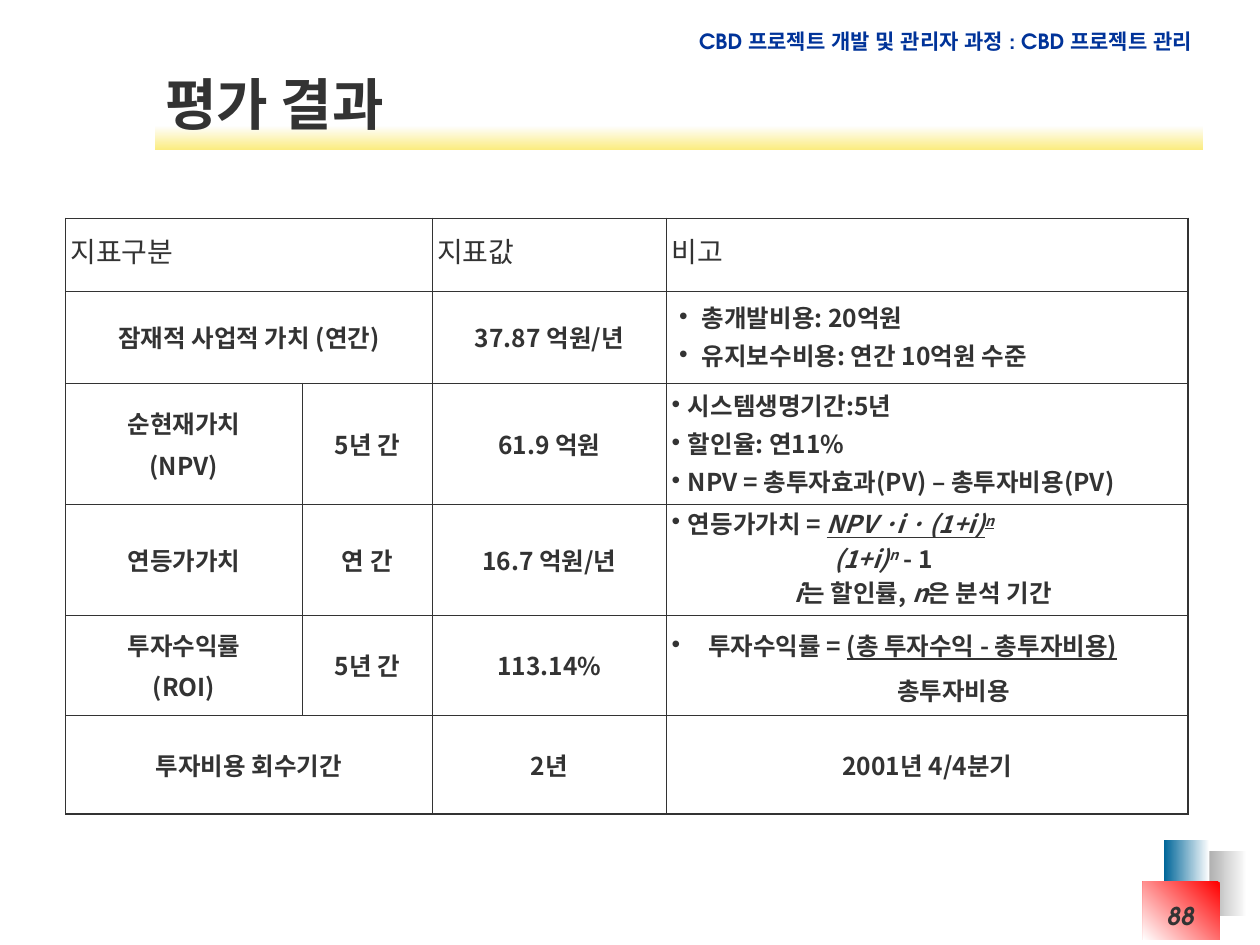
from lxml.etree import SubElement
from pptx import Presentation
from pptx.dml.color import RGBColor
from pptx.enum.shapes import MSO_SHAPE
from pptx.enum.text import MSO_ANCHOR, MSO_AUTO_SIZE, PP_ALIGN
from pptx.oxml import parse_xml
from pptx.oxml.ns import nsdecls, qn
from pptx.util import Inches, Pt

INK = RGBColor(0x33, 0x33, 0x33)
NAVY = RGBColor(0x00, 0x33, 0x99)
WHITE = RGBColor(0xFF, 0xFF, 0xFF)
GREY = RGBColor(0x96, 0x96, 0x96)
TEAL = RGBColor(0x00, 0x66, 0x99)
RED = RGBColor(0xFF, 0x00, 0x00)
OFF_WHITE = RGBColor(0xFE, 0xFE, 0xFE)
YELLOW = RGBColor(0xFB, 0xEC, 0x7F)
BODY_FONT = "Noto Sans CJK KR"
ACCENT_FONT = "TeX Gyre Adventor"
THIN, THICK = 0.34, 1.08

COURSE = "CBD 프로젝트 개발 및 관리자 과정 : CBD 프로젝트 관리"
TITLE = "평가 결과"
PAGE = "88"

# left, top, width, height, start colour, end colour, counter-clockwise angle
DECORATIONS = [
    (9.5, 6.75, 0.4, 0.52, WHITE, GREY, 180),
    (9.24, 6.67, 0.36, 0.52, WHITE, TEAL, 180),
    (9.07, 7, 0.61, 0.46, RED, WHITE, 225),
    (1.23, 1, 8.32, 0.19, OFF_WHITE, YELLOW, 270),
]

COLUMN_WIDTHS = [1.88, 1.03, 1.86, 4.14]
ROW_HEIGHTS = [0.58, 0.73, 0.81, 0.8, 0.8, 0.78]
HEADERS = ["지표구분", None, "지표값", "비고"]
# One list of paragraphs per cell; None continues the cell on its left
INDICATORS = [
    [["잠재적 사업적 가치 (연간)"], None, ["37.87 억원/년"]],
    [["순현재가치", "(NPV)"], ["5년 간"], ["61.9 억원"]],
    [["연등가가치"], ["연 간"], ["16.7 억원/년"]],
    [["투자수익률", "(ROI)"], ["5년 간"], ["113.14%"]],
    [["투자비용 회수기간"], None, ["2년"]],
]
# Line spacing, then paragraphs: bullet position or None, text position, and
# runs of text and marks (i italic, u underlined, s superscript)
REMARKS = [
    (0.9, [(0.06, 0.24, [("총개발비용: 20억원", "")]),
           (0.06, 0.24, [("유지보수비용: 연간 10억원 수준", "")])]),
    (0.9, [(0, 0.13, [("시스템생명기간:5년", "")]),
           (0, 0.13, [("할인율: 연11%", "")]),
           (0, 0.13, [("NPV = 총투자효과(PV) – 총투자비용(PV)", "")])]),
    (0.8, [(0, 0.13, [("연등가가치 = ", ""), ("NPV ·i · (1+i)", "iu"),
                      ("n", "ius")]),
           (None, 1.29, [("(1+i)", "i"), ("n", "is"), (" - 1", "")]),
           (None, 0.98, [("i", "i"), ("는 할인률,", ""), (" n", "i"),
                         ("은 분석 기간", "")])]),
    (1.1, [(0, 0.29, [("투자수익률 = ", ""),
                      ("(총 투자수익 - 총투자비용)", "u")]),
           (None, 1.79, [("총투자비용", "")])]),
]
LAST_REMARK = ["2001년 4/4분기"]


def add_run(paragraph, text, size, font=BODY_FONT, color=INK, bold=True, marks=""):
    run = paragraph.add_run()
    run.text = text
    run.font.size = Pt(size)
    run.font.bold = bold
    run.font.italic = "i" in marks
    run.font.underline = "u" in marks
    run.font.color.rgb = color
    run.font.name = font
    properties = run._r.get_or_add_rPr()
    SubElement(properties, qn("a:ea")).set("typeface", font)
    if "s" in marks:
        properties.set("baseline", "30000")


def add_label(slide, left, top, width, height, text, **style):
    frame = slide.shapes.add_textbox(
        Inches(left), Inches(top), Inches(width), Inches(height)).text_frame
    frame.word_wrap = True
    frame.paragraphs[0].alignment = PP_ALIGN.RIGHT
    add_run(frame.paragraphs[0], text, font=ACCENT_FONT, **style)


def add_decoration(slide, left, top, width, height, start, end, angle):
    block = slide.shapes.add_shape(
        MSO_SHAPE.RECTANGLE, Inches(left), Inches(top), Inches(width), Inches(height))
    block.shadow.inherit = False
    block.line.fill.background()
    block.fill.gradient()
    block.fill.gradient_angle = angle
    for stop, color in zip(block.fill.gradient_stops, (start, end)):
        stop.color.rgb = color


def format_cell(cell, last_column, last_row):
    cell.vertical_anchor = MSO_ANCHOR.MIDDLE
    cell.margin_left = cell.margin_right = Inches(0.04)
    cell.margin_top = cell.margin_bottom = Inches(0.05)
    cell.fill.solid()
    cell.fill.fore_color.rgb = WHITE
    widths = {"lnL": THIN, "lnR": THICK if last_column else THIN,
              "lnT": THIN, "lnB": THICK if last_row else THIN}
    for position, (side, width) in enumerate(widths.items()):
        cell._tc.get_or_add_tcPr().insert(position, parse_xml(
            f'<a:{side} {nsdecls("a")} w="{Pt(width)}"><a:solidFill>'
            f'<a:srgbClr val="{INK}"/></a:solidFill></a:{side}>'))


def paragraphs_for(cell, count):
    frame = cell.text_frame
    return [frame.paragraphs[0]] + [frame.add_paragraph() for _ in range(count - 1)]


def fill_centred(cell, lines):
    for paragraph, line in zip(paragraphs_for(cell, len(lines)), lines):
        paragraph.alignment = PP_ALIGN.CENTER
        paragraph.space_before = Pt(3.5)
        add_run(paragraph, line, 14)


def fill_remark(cell, line_spacing, items):
    for paragraph, item in zip(paragraphs_for(cell, len(items)), items):
        bullet_at, text_at, runs = item
        paragraph.line_spacing = line_spacing
        paragraph.space_before = Pt(3.5)
        properties = paragraph._p.get_or_add_pPr()
        properties.set("marL", str(Inches(text_at)))
        if bullet_at is not None:
            properties.set("indent", str(Inches(bullet_at - text_at)))
            SubElement(properties, qn("a:buFont")).set("typeface", "Arial")
            SubElement(properties, qn("a:buChar")).set("char", "•")
        for text, marks in runs:
            add_run(paragraph, text, 14, marks=marks)


def add_results(slide):
    rows, columns = len(ROW_HEIGHTS), len(COLUMN_WIDTHS)
    table = slide.shapes.add_table(
        rows, columns, Inches(0.52), Inches(1.73),
        Inches(sum(COLUMN_WIDTHS)), Inches(sum(ROW_HEIGHTS))).table
    table.first_row = table.horz_banding = False
    for column, width in zip(table.columns, COLUMN_WIDTHS):
        column.width = Inches(width)
    for row, height in zip(table.rows, ROW_HEIGHTS):
        row.height = Inches(height)
    for r in range(rows):
        for c in range(columns):
            format_cell(table.cell(r, c), c == columns - 1, r == rows - 1)

    for c, header in enumerate(HEADERS):
        if header is None:
            table.cell(0, c - 1).merge(table.cell(0, c))
            continue
        paragraph = table.cell(0, c).text_frame.paragraphs[0]
        paragraph.line_spacing = 0.7
        paragraph.space_before = Pt(4)
        add_run(paragraph, header, 16, bold=False)
    for r, indicator in enumerate(INDICATORS, start=1):
        for c, lines in enumerate(indicator):
            if lines is None:
                table.cell(r, c - 1).merge(table.cell(r, c))
            else:
                fill_centred(table.cell(r, c), lines)
    for r, (line_spacing, items) in enumerate(REMARKS, start=1):
        fill_remark(table.cell(r, columns - 1), line_spacing, items)
    fill_centred(table.cell(rows - 1, columns - 1), LAST_REMARK)


def main():
    deck = Presentation()
    deck.slide_width, deck.slide_height = Inches(10), Inches(7.5)
    slide = deck.slides.add_slide(deck.slide_layouts[5])
    for decoration in DECORATIONS:
        add_decoration(slide, *decoration)
    add_label(slide, 5.4, 0.18, 4.16, 0.3, COURSE, size=12, color=NAVY)

    title = slide.shapes.title
    title.left, title.top = Inches(1.21), Inches(0.51)
    title.width, title.height = Inches(8.32), Inches(0.61)
    # Keeps the heading in front of the yellow band
    slide.shapes._spTree.append(title._element)
    frame = title.text_frame
    frame.auto_size = MSO_AUTO_SIZE.NONE
    frame.vertical_anchor = MSO_ANCHOR.MIDDLE
    frame.paragraphs[0].alignment = PP_ALIGN.LEFT
    add_run(frame.paragraphs[0], TITLE, 32)

    add_results(slide)
    add_label(slide, 8.35, 7.1, 1.23, 0.4, PAGE, size=14, marks="i")
    deck.save("out.pptx")


if __name__ == "__main__":
    main()
